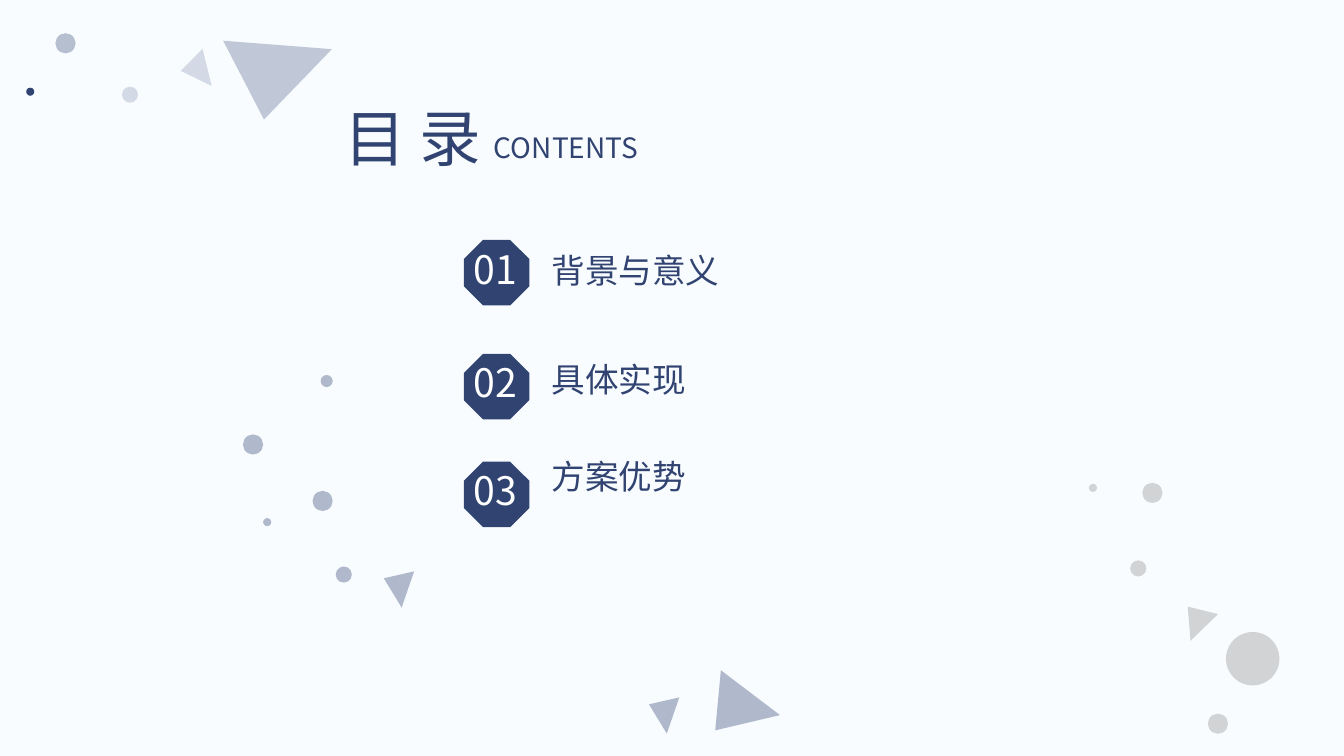
from dataclasses import dataclass

from lxml.etree import SubElement
from pptx import Presentation
from pptx.dml.color import RGBColor
from pptx.enum.shapes import MSO_SHAPE
from pptx.enum.text import MSO_ANCHOR, MSO_AUTO_SIZE, PP_ALIGN
from pptx.oxml.ns import qn
from pptx.util import Inches, Pt


@dataclass(frozen=True)
class Theme:
    back: str = "F8FCFF"
    navy: str = "314371"
    gray: str = "7F7F7F"
    white: str = "FFFFFF"
    font: str = "Noto Sans CJK SC"
    title: int = 44
    label: int = 20
    number: int = 28
    item: int = 24


THEME = Theme()
FRAME = {"auto_size": MSO_AUTO_SIZE.NONE, "vertical_anchor": MSO_ANCHOR.TOP}
LINE = 1.448  # line height of the font, in ems


def paint(shape, color, alpha=100):
    shape.shadow.inherit = False
    shape.line.fill.background()
    shape.fill.solid()
    shape.fill.fore_color.rgb = RGBColor.from_string(color)
    if alpha < 100:
        tint = shape.fill._xPr.find(qn("a:solidFill"))[0]
        SubElement(tint, qn("a:alpha"), val=str(alpha * 1000))


def place(shape, left, top, width, height):
    spots = {"left": left, "top": top, "width": width, "height": height}
    for name, value in spots.items():
        setattr(shape, name, Inches(value))


def write(shape, lines, size, color, wrap=True, align=PP_ALIGN.LEFT):
    frame = shape.text_frame
    for name, value in {**FRAME, "word_wrap": wrap}.items():
        setattr(frame, name, value)
    frame.text = "\n".join(lines)
    style = {"size": Pt(size), "name": THEME.font}
    for para in frame.paragraphs:
        para.alignment = align
        font = para.runs[0].font
        font.color.rgb = RGBColor.from_string(color)
        for name, value in style.items():
            setattr(font, name, value)
        SubElement(font._element, qn("a:ea"), typeface=THEME.font)


def label(slide, box, text, size, color, wrap=True):
    shape = slide.shapes.add_textbox(*map(Inches, box))
    write(shape, [text], size, color, wrap)


def head(slide, box):
    left, top, width, height = box
    title = slide.shapes.title
    place(title, left, top, 1.61, height)
    write(title, ["目 录"], THEME.title, THEME.navy, False, PP_ALIGN.CENTER)
    label(slide, (left + 1.51, top + 0.31, width - 1.51, 0.44),
          "CONTENTS", THEME.label, THEME.navy)


def agenda(slide, box, rows):
    left, top, width, height = box

    # Numbered badges
    for num, (_, drop, _) in enumerate(rows, 1):
        badge = slide.shapes.add_shape(
            MSO_SHAPE.OCTAGON,
            *map(Inches, (left, top + drop, 0.65, 0.65)))
        paint(badge, THEME.navy)
        label(slide, (left, top + drop, 0.63, 0.57), f"{num:02}",
              THEME.number, THEME.white, False)

    # Topic list, spaced to sit beside the badges
    body = slide.placeholders[1]
    place(body, left + 0.77, top + rows[0][2], width - 0.77, height)
    write(body, [row[0] for row in rows], THEME.item, THEME.navy)
    last = None
    for para, (_, _, drop) in zip(body.text_frame.paragraphs, rows):
        gap = 0 if last is None else (drop - last) * 72 - THEME.item * LINE
        para.space_before = Pt(round(gap, 1))
        last = drop
        props = para._p.get_or_add_pPr()
        props.set("marL", "0")
        props.set("indent", "0")
        SubElement(props, qn("a:buNone"))


def cluster(slide, spot, color, dots, wedges):
    left, top = spot
    for x, y, size, alpha in dots:
        dot = slide.shapes.add_shape(
            MSO_SHAPE.OVAL, *map(Inches, (left + x, top + y, size, size)))
        paint(dot, color, alpha)
    for x, y, size, turn, alpha in wedges:
        wedge = slide.shapes.add_shape(
            MSO_SHAPE.ISOSCELES_TRIANGLE,
            *map(Inches, (left + x, top + y, size, size * 0.86)))
        wedge.adjustments[0] = 0.29
        wedge.rotation = turn
        paint(wedge, color, alpha)


def contents(deck):
    slide = deck.slides.add_slide(deck.slide_layouts[1])
    fill = slide.background.fill
    fill.solid()
    fill.fore_color.rgb = RGBColor.from_string(THEME.back)

    # Heading and topics: text, badge drop, text drop
    head(slide, (3.29, 0.94, 3.2, 0.84))
    agenda(slide, (4.6, 2.38, 4.08, 2.8), [
        ("背景与意义", 0, 0.05),
        ("具体实现", 1.13, 1.21),
        ("方案优势", 2.2, 2.26),
    ])

    # Lower middle scatter
    cluster(slide, (2.41, 3.72), THEME.navy,
            [(0.69, 1.15, 0.2, 36), (0.2, 1.42, 0.08, 36),
             (0.92, 1.9, 0.16, 36), (0, 0.59, 0.2, 36),
             (0.77, 0, 0.12, 36)],
            [(4.61, 2.89, 0.66, 346.7, 36), (1.44, 1.94, 0.34, 58.6, 36),
             (4.07, 3.19, 0.34, 58.6, 36)])

    # Top left scatter
    cluster(slide, (0.26, 0.13), THEME.navy,
            [(0.29, 0.2, 0.2, 33), (0, 0.74, 0.08, 100),
             (0.95, 0.73, 0.16, 18)],
            [(1.91, 0, 0.97, 314, 28), (1.58, 0.37, 0.34, 25.9, 18)])

    # Lower right scatter
    cluster(slide, (10.8, 4.79), THEME.gray,
            [(1.36, 1.48, 0.53, 32), (0.53, 0, 0.2, 32),
             (0, 0.01, 0.08, 32), (0.41, 0.77, 0.16, 32),
             (1.18, 2.29, 0.2, 32)],
            [(0.97, 1.24, 0.34, 85.4, 32)])


def main():
    deck = Presentation()
    deck.slide_width = Inches(13.33)
    deck.slide_height = Inches(7.5)
    contents(deck)
    deck.save("out.pptx")


if __name__ == "__main__":
    main()
